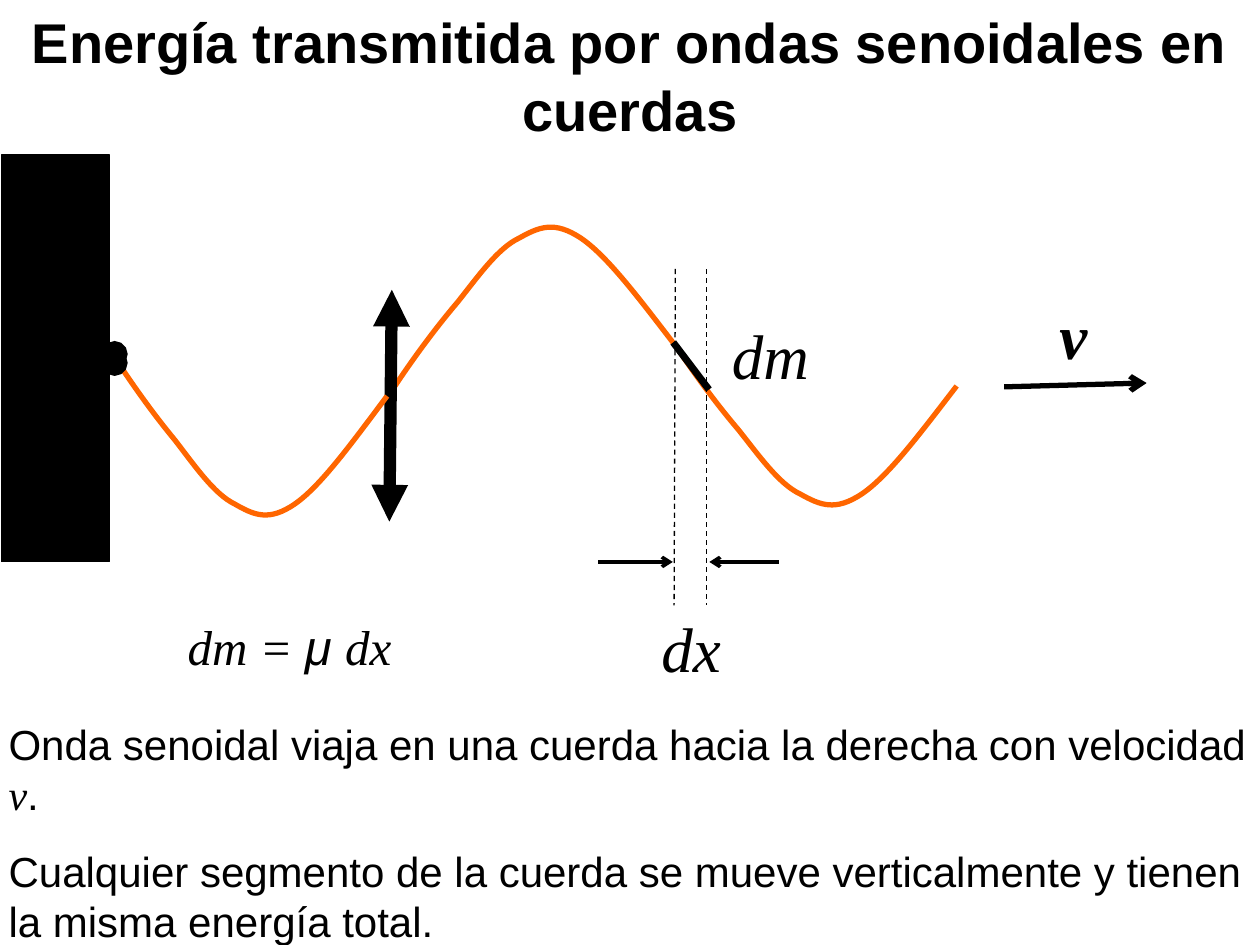
from lxml import etree
from pptx import Presentation
from pptx.dml.color import RGBColor
from pptx.enum.dml import MSO_LINE
from pptx.enum.shapes import MSO_CONNECTOR, MSO_SHAPE
from pptx.enum.text import MSO_ANCHOR, PP_ALIGN
from pptx.oxml.ns import qn
from pptx.util import Inches, Pt

STRAIGHT, RECT = MSO_CONNECTOR.STRAIGHT, MSO_SHAPE.RECTANGLE
DASH = MSO_LINE.DASH
TOP, MIDDLE = MSO_ANCHOR.TOP, MSO_ANCHOR.MIDDLE
LEFT, CENTER = PP_ALIGN.LEFT, PP_ALIGN.CENTER

COLORS = {"ink": "000000", "string": "FF6600"}
SANS, SERIF = "Arial", "Times New Roman"

# Bezier points of one half wave, measured from its start
HALF_WAVE = [(0.16, 0.24), (0.33, 0.47), (0.5, 0.67), (0.66, 0.87),
             (0.82, 1.1), (0.99, 1.18), (1.15, 1.27), (1.27, 1.32),
             (1.48, 1.18), (1.69, 1.04), (1.95, 0.69), (2.22, 0.34)]
HALF_WAVE_W = 2.22


def rgb(name):
    return RGBColor.from_string(COLORS[name])


def add_text(s, x, y, w, h, paragraphs, size, font=SANS, bold=False, italic=False,
             align=LEFT, anchor=TOP, wrap=True, gap=0):
    """Each paragraph is a list of runs: a string, or (string, font, italic)."""
    tf = s.shapes.add_textbox(Inches(x), Inches(y), Inches(w), Inches(h)).text_frame
    tf.word_wrap, tf.vertical_anchor = wrap, anchor
    for i, runs in enumerate(paragraphs):
        p = tf.paragraphs[0] if i == 0 else tf.add_paragraph()
        p.alignment = align
        if i:
            p.space_before = Pt(gap)
        for run in runs:
            text, face, slanted = (run, font, italic) if isinstance(run, str) else run
            r = p.add_run()
            r.text = text
            r.font.name, r.font.size = face, Pt(size)
            r.font.bold, r.font.italic = bold, slanted
            r.font.color.rgb = rgb("ink")


def style_line(line, color, width):
    line.color.rgb, line.width = rgb(color), Pt(width)
    ln = line._get_or_add_ln()
    ln.set("cap", "sq")
    return ln


def add_line(s, x1, y1, x2, y2, width, head=None, tail=None, dash=None):
    c = s.shapes.add_connector(STRAIGHT, Inches(x1), Inches(y1), Inches(x2), Inches(y2))
    ln = style_line(c.line, "ink", width)
    if dash:
        c.line.dash_style = dash
    for tag, kind in (("a:headEnd", head), ("a:tailEnd", tail)):
        if kind:
            etree.SubElement(ln, qn(tag), type=kind)
    etree.SubElement(c._element.spPr, qn("a:effectLst"))


def half_wave(s, x, y, w=HALF_WAVE_W, crest=False):
    """Half a period starting at (x, y): a trough, or a crest when flipped."""
    kx, ky = w / HALF_WAVE_W, -1 if crest else 1
    fb = s.shapes.build_freeform(Inches(x), Inches(y))
    fb.add_line_segments([(Inches(x + kx * px), Inches(y + ky * py)) for px, py in HALF_WAVE],
                         close=False)
    sp = fb.convert_to_shape()
    # Every three straight segments become one Bezier curve
    segments = list(sp._element.iter(qn("a:lnTo")))
    for i in range(0, len(segments), 3):
        curve = etree.Element(qn("a:cubicBezTo"))
        segments[i].addprevious(curve)
        for segment_to in segments[i:i + 3]:
            curve.append(segment_to[0])
            segment_to.getparent().remove(segment_to)
    sp.shadow.inherit = False
    sp.fill.background()
    style_line(sp.line, "string", 3)


def title(s, x, y, w, h):
    add_text(s, x, y, w, h, [["Energía transmitida por ondas senoidales en cuerdas"]],
             32, bold=True, align=CENTER, anchor=MIDDLE)


def wall(s, x, y, w, h):
    sp = s.shapes.add_shape(RECT, Inches(x), Inches(y), Inches(w), Inches(h))
    sp.shadow.inherit = False
    sp.fill.solid()
    sp.fill.fore_color.rgb = sp.line.color.rgb = rgb("ink")
    sp.line.width = Pt(0.75)


def segment(s, x, y, w, h):
    """String element dm, with the guides and arrows that mark its width dx."""
    add_line(s, x, y, x + w, y + h, 4)
    add_text(s, x + 0.35, y - 0.28, 1.64, 0.71, [["dm"]], 36, SERIF, italic=True)
    add_text(s, x - 0.21, y + 2.05, 1.11, 0.71, [["dx"]], 36, SERIF, italic=True)
    for top, bottom in ((x, x - 0.01), (x + w, x + w)):
        add_line(s, top, y - 0.6, bottom, y + 2.06, 0.75, dash=DASH)
    arrow_y = y + 1.72
    add_line(s, x - 0.6, arrow_y, x - 0.02, arrow_y, 2, tail="arrow")
    add_line(s, x + w + 0.02, arrow_y, x + w + 0.56, arrow_y, 2, head="arrow")


def velocity(s, x, y, w, h):
    add_text(s, x + 0.32, y, 0.43, 0.71, [["v"]], 36, SERIF, bold=True, italic=True,
             wrap=False)
    add_line(s, x, y + h, x + w, y + h - 0.03, 3, tail="arrow")


def diagram(s, x, y):
    wall(s, x + 0.01, y, 0.86, 3.23)
    half_wave(s, x + 3.13, y + 1.84, crest=True)
    half_wave(s, x + 5.36, y + 1.51)
    segment(s, x + 5.36, y + 1.51, 0.25, 0.33)
    velocity(s, x + 7.99, y + 1.07, 1.11, 0.77)
    # Vertical motion of the string
    add_line(s, x + 3.09, y + 2.91, x + 3.11, y + 1.07, 7, head="triangle", tail="triangle")
    add_text(s, x + 1.39, y + 3.61, 3.01, 0.58,
             [["dm = ", ("μ ", SANS, True), "dx"]], 28, SERIF, italic=True)
    # End of the string tied to the wall
    half_wave(s, x + 0.9, y + 1.59, w=2.16)
    add_line(s, x + 0.91, y + 1.65, x + 0.91, y + 1.58, 5, head="oval", tail="oval")


def explanation(s, x, y, w, h):
    add_text(s, x, y, w, h, [
        ["Onda senoidal viaja en una cuerda hacia la derecha con velocidad ",
         ("v", SERIF, True), "."],
        ["Cualquier segmento de la cuerda se mueve verticalmente y tienen "
         "la misma energía total."]], 24, gap=15)


def main():
    prs = Presentation()
    prs.slide_width, prs.slide_height = Inches(10), Inches(7.5)
    s = prs.slides.add_slide(prs.slide_layouts[6])
    title(s, 0, -0.03, 10, 1.25)
    diagram(s, 0, 1.23)
    explanation(s, -0.03, 5.65, 10.03, 1.93)
    prs.save("out.pptx")


if __name__ == "__main__":
    main()
